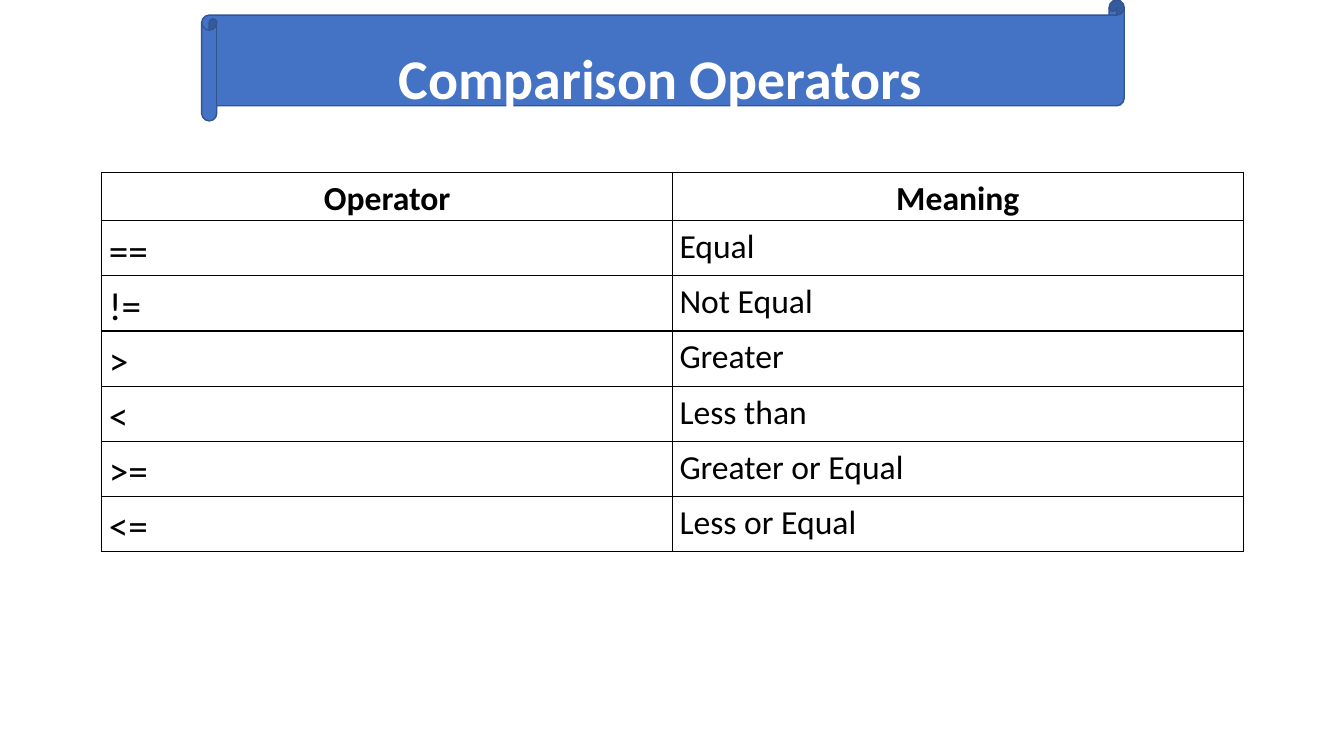
import pptx
import pptx.util
import pptx.dml.color
import pptx.enum.shapes
import pptx.enum.text
import pptx.oxml
import pptx.oxml.ns
from pptx.util import Inches

COLORS = {"banner": "4472C4", "banner_line": "325491", "white": "FFFFFF", "black": "000000"}
CENTER = pptx.enum.text.PP_ALIGN.CENTER
LEFT = pptx.enum.text.PP_ALIGN.LEFT
OPERATORS = [
    ("Operator", "Meaning"),
    ("==", "Equal"),
    ("!=", "Not Equal"),
    (">", "Greater"),
    ("<", "Less than"),
    (">=", "Greater or Equal"),
    ("<=", "Less or Equal"),
]


def write_text(frame, text, size=24, bold=False, color="black", align=LEFT, spacing=1.15, after=10):
    para = frame.paragraphs[0]
    para.alignment = align
    para.line_spacing = spacing
    para.space_after = pptx.util.Pt(after)
    span = para.add_run()
    span.text = text
    span.font.name = "Calibri"
    span.font.size = pptx.util.Pt(size)
    span.font.bold = bold
    span.font.color.rgb = pptx.dml.color.RGBColor.from_string(COLORS[color])
    return para


def add_borders(cell):
    """Put a one-point black line on each side of the cell, ahead of its fill."""
    properties = cell._tc.get_or_add_tcPr()
    for position, side in enumerate(("lnL", "lnR", "lnT", "lnB")):
        properties.insert(position, pptx.oxml.parse_xml(
            f'<a:{side} {pptx.oxml.ns.nsdecls("a")} w="12700"><a:solidFill>'
            f'<a:srgbClr val="{COLORS["black"]}"/></a:solidFill></a:{side}>'))


deck = pptx.Presentation()
deck.slide_width = Inches(13.33)
deck.slide_height = Inches(7.5)
page = deck.slides.add_slide(deck.slide_layouts[6])

# Title banner
banner = page.shapes.add_shape(
    pptx.enum.shapes.MSO_SHAPE.HORIZONTAL_SCROLL, Inches(2), Inches(0), Inches(9.15), Inches(1.2))
banner.shadow.inherit = False
banner.fill.solid()
banner.fill.fore_color.rgb = pptx.dml.color.RGBColor.from_string(COLORS["banner"])
banner.line.color.rgb = pptx.dml.color.RGBColor.from_string(COLORS["banner_line"])
banner.line.width = pptx.util.Pt(1)
banner.text_frame.word_wrap = True
banner.text_frame.vertical_anchor = pptx.enum.text.MSO_ANCHOR.MIDDLE
title = write_text(banner.text_frame, "Comparison Operators ", size=40, bold=True,
                   color="white", align=CENTER, spacing=1.5, after=0)
indent = title._p.get_or_add_pPr()
indent.set("marL", str(Inches(0.38)))
indent.set("indent", str(-Inches(0.38)))

# Operator table
table = page.shapes.add_table(
    len(OPERATORS), 2, Inches(1.01), Inches(1.71), Inches(11.32), Inches(3.52)).table
table.horz_banding = False
for row_index, row_texts in enumerate(OPERATORS):
    is_header = row_index == 0
    table.rows[row_index].height = Inches(0.48 if is_header else 0.51)
    for column_index, text in enumerate(row_texts):
        cell = table.cell(row_index, column_index)
        cell.margin_left = cell.margin_right = Inches(0.07)
        cell.margin_top = cell.margin_bottom = Inches(0)
        cell.fill.background()
        add_borders(cell)
        is_symbol = column_index == 0 and not is_header
        write_text(cell.text_frame, text, size=28 if is_symbol else 24,
                   bold=is_header, align=CENTER if is_header else LEFT)

deck.save("out.pptx")
